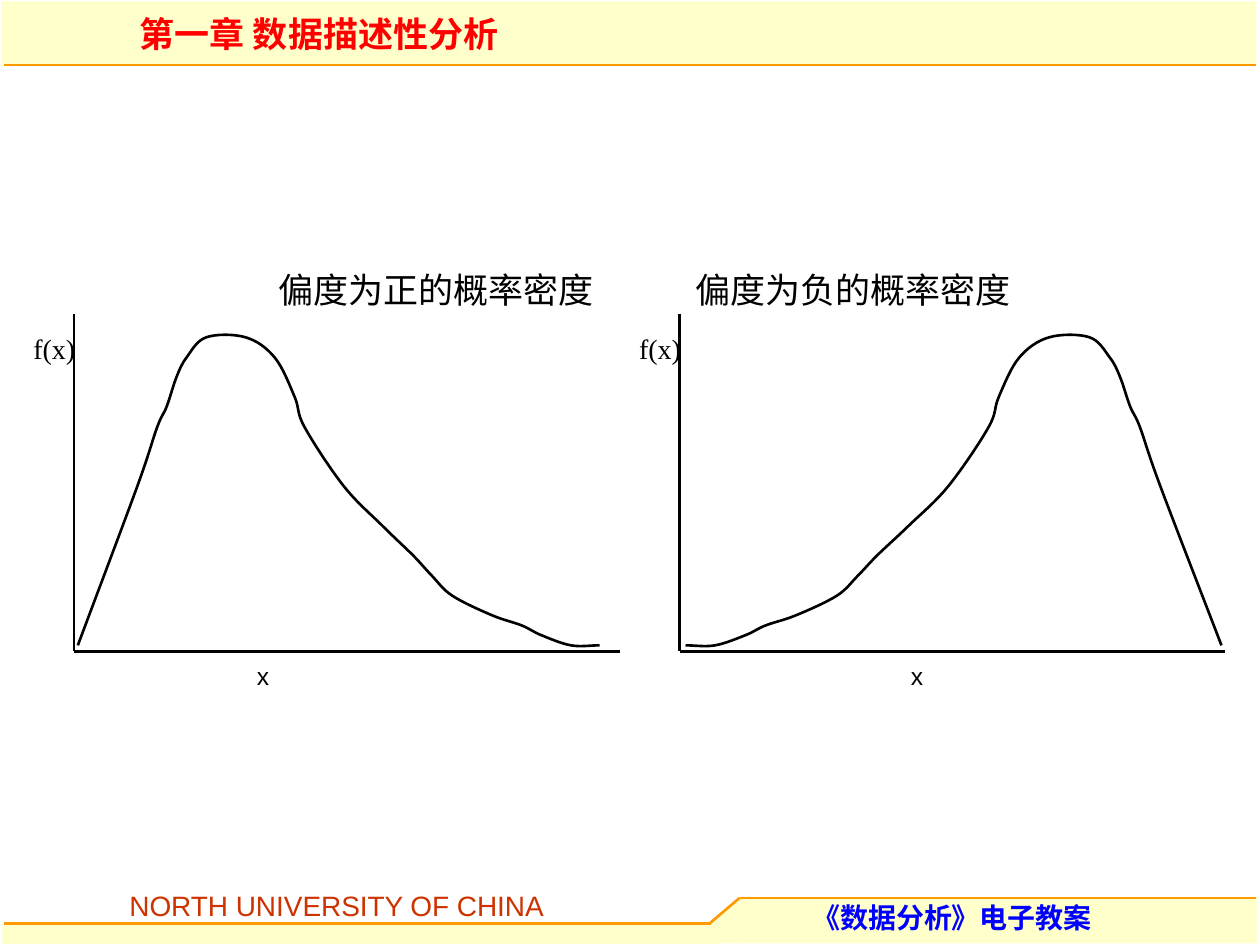
from lxml import etree
from pptx import Presentation
from pptx.dml.color import RGBColor
from pptx.enum import shapes, text
from pptx.oxml import ns
from pptx.util import Cm, Pt

CREAM, ORANGE, BLACK = "FFFFCC", "FF9900", "000000"
CJK = "Noto Sans CJK SC"
RECT, TRI = shapes.MSO_SHAPE.RECTANGLE, shapes.MSO_SHAPE.RIGHT_TRIANGLE

# All lengths are in centimetres.
# kind, (left, top, width, height), rotation
BANDS = [
    (RECT, (0.03, 0.03, 25.3, 1.3), 0),
    (TRI, (13.94, 18.01, 0.94, 1.07), 270),
    (RECT, (14.88, 18.08, 10.46, 0.94), 0),
    (RECT, (0.05, 18.62, 14.4, 0.41), 0),
]
# (x1, y1, x2, y2), width in points
RULES = [
    ((0.08, 1.31, 25.32, 1.31), 1),
    ((14.91, 18.1, 25.32, 18.1), 1.5),
    ((0.08, 18.62, 14.33, 18.62), 1.5),
    ((14.3, 18.62, 14.91, 18.1), 1.5),
]
TITLE = "第一章 数据描述性分析"
SCHOOL = "NORTH UNIVERSITY OF CHINA"
COURSE = "《数据分析》电子教案"

# axis left, caption, caption left, f(x) left, x left
PLOTS = [
    (1.49, "偏度为正的概率密度", 5.69, 0.69, 4.9),
    (13.7, "偏度为负的概率密度", 14.1, 12.9, 18.08),
]
TOP, BASE, SPAN = 6.32, 13.13, 11
LABEL = (0.81, 0.99)
# Density with a right tail, from the tail to the start
KNOTS = [
    (12.09, 13.01), (11.51, 13.01), (10.9, 12.8), (10.52, 12.61), (9.91, 12.4),
    (9.12, 12.01), (8.71, 11.61), (8.33, 11.2), (7.72, 10.61), (6.93, 9.8),
    (6.14, 8.61), (5.94, 8), (5.54, 7.21), (4.95, 6.8), (4.16, 6.8),
    (3.76, 7.21), (3.56, 7.6), (3.36, 8.2), (3.17, 8.61), (2.77, 9.8),
    (1.57, 13.01),
]
# The left tail is the mirrored density, slightly wider
MIRROR = [(13.82 + (KNOTS[0][0] - x) * 1.027, y) for x, y in KNOTS]


def color(code):
    return RGBColor.from_string(code)


def band(kind, box, turn):
    shp = slide.shapes.add_shape(kind, *map(Cm, box))
    shp.rotation = turn
    shp.shadow.inherit = False
    shp.fill.solid()
    shp.fill.fore_color.rgb = color(CREAM)
    shp.line.fill.background()


def rule(ends, code, width):
    line = slide.shapes.add_connector(
        shapes.MSO_CONNECTOR.STRAIGHT, *map(Cm, ends))
    line.line.color.rgb = color(code)
    line.line.width = Pt(width)
    etree.SubElement(line._element.spPr, ns.qn("a:effectLst"))


def bend(shp, pts):
    """Turn the straight segments of a freeform into smooth cubic ones."""
    def ghost(p, q):
        return tuple(2 * a - b for a, b in zip(p, q))

    ends = [ghost(pts[0], pts[1]), *pts, ghost(pts[-1], pts[-2])]
    quads = zip(ends, ends[1:], ends[2:], ends[3:])
    lines = list(shp._element.iter(ns.qn("a:lnTo")))
    for seg, (a, b, c, d) in zip(lines, quads):
        seg.tag = ns.qn("a:cubicBezTo")
        seg.remove(seg[0])
        one = [q + (r - p) / 6 for p, q, r in zip(a, b, c)]
        two = [r - (s - q) / 6 for q, r, s in zip(b, c, d)]
        for x, y in (one, two, c):
            etree.SubElement(seg, ns.qn("a:pt"), x=str(round(x - shp.left)),
                             y=str(round(y - shp.top)))


def curve(knots):
    pts = [(Cm(x), Cm(y)) for x, y in knots]
    pen = slide.shapes.build_freeform(*pts[0])
    pen.add_line_segments(pts[1:], close=False)
    shp = pen.convert_to_shape()
    bend(shp, pts)
    shp.shadow.inherit = False
    shp.fill.background()
    shp.line.color.rgb = color(BLACK)
    shp.line.width = Pt(1.5)


def write(shp, words, code, size, name, bold=False, mid=False, inset=True):
    """Fill a text shape; mid centres it both ways without wrapping."""
    frame = shp.text_frame
    frame.text = words
    pad = (0.25, 0.13) if inset else (0, 0)
    look = {
        "margin_left": Cm(pad[0]), "margin_right": Cm(pad[0]),
        "margin_top": Cm(pad[1]), "margin_bottom": Cm(pad[1]),
        "word_wrap": not mid,
        "auto_size": text.MSO_AUTO_SIZE.NONE,
        "vertical_anchor": text.MSO_ANCHOR.MIDDLE if mid else text.MSO_ANCHOR.TOP,
    }
    for key, val in look.items():
        setattr(frame, key, val)
    para = frame.paragraphs[0]
    para.alignment = text.PP_ALIGN.CENTER if mid else text.PP_ALIGN.LEFT
    font = para.runs[0].font
    for key, val in {"size": Pt(size), "name": name, "bold": bold}.items():
        setattr(font, key, val)
    font.color.rgb = color(code)
    east = etree.SubElement(para.runs[0]._r.rPr, ns.qn("a:ea"))
    east.set("typeface", CJK)


def label(box, *args, **look):
    write(slide.shapes.add_textbox(*map(Cm, box)), *args, **look)


prs = Presentation()
prs.slide_width, prs.slide_height = Cm(25.4), Cm(19.05)
slide = prs.slides.add_slide(prs.slide_layouts[5])

for item in BANDS:
    band(*item)
for ends, width in RULES:
    rule(ends, ORANGE, width)

title = slide.shapes.title
slide.shapes._spTree.append(title._element)  # in front of the top band
title.left, title.top, title.width, title.height = map(Cm, (2.82, 0.25, 11.71, 0.84))
write(title, TITLE, "FF0000", 20, CJK, bold=True, inset=False)
label((2.36, 17.78, 9.14, 0.94), SCHOOL, "CC3300", 16, "Arial")
label((16.38, 18.16, 7.29, 0.69), COURSE, "0000FF", 16, CJK, bold=True, inset=False)

for (left, name, cap, fx, x), knots in zip(PLOTS, (KNOTS, MIRROR)):
    rule((left, TOP, left, BASE), BLACK, 1.5)
    rule((left, BASE, left + SPAN, BASE), BLACK, 1.5)
    curve(knots)
    label((cap, 5.35, 6.2, 0.99), name, BLACK, 20, "Times New Roman", mid=True)
    label((fx, 6.53, *LABEL), "f(x)", BLACK, 16, "Times New Roman", mid=True)
    label((x, BASE, *LABEL), "x", BLACK, 14, "Arial", mid=True)

prs.save("out.pptx")
